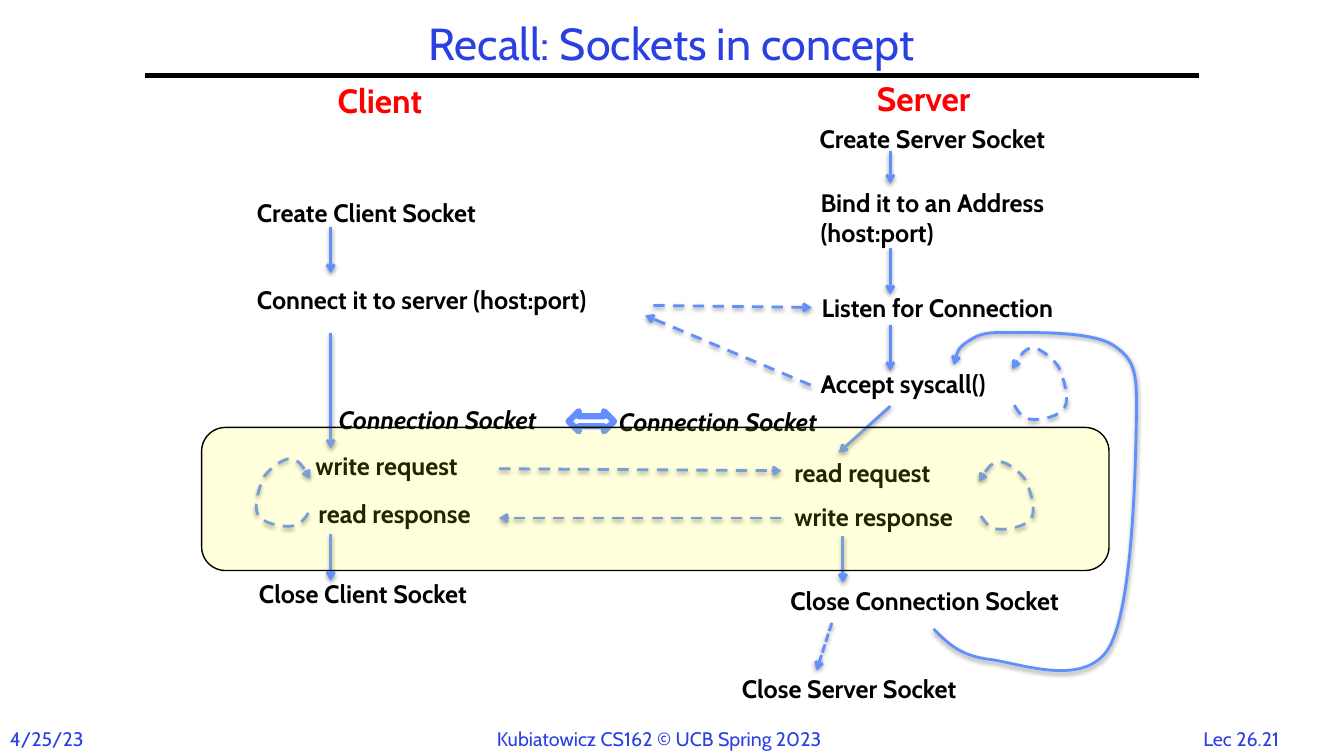
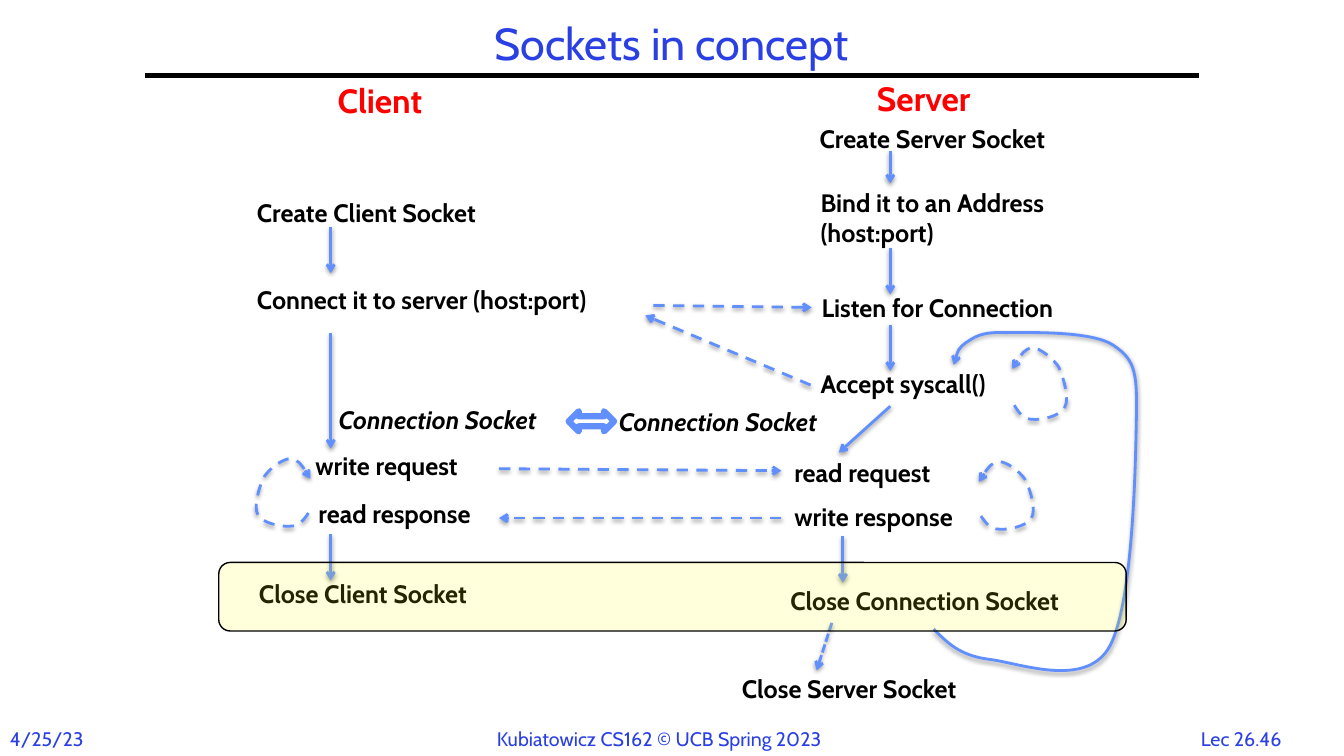
from dataclasses import dataclass

from pptx import Presentation
from pptx.dml.color import RGBColor
from pptx.enum.dml import MSO_LINE as Dash
from pptx.enum.shapes import MSO_CONNECTOR as Link, MSO_SHAPE as Kind
from pptx.enum.text import MSO_ANCHOR as Anchor, MSO_AUTO_SIZE as Fit, PP_ALIGN as Align
from pptx.oxml import parse_xml
from pptx.oxml.ns import nsdecls, qn
from pptx.util import Pt

PX = 9144  # 100 px to the inch
FONT = "Cabin"
BLUE, SKY, RED = "2A40E2", "618FFD", "FF0000"
BLACK, WHITE, YELLOW = "000000", "FFFFFF", "FFFF00"


@dataclass(frozen=True)
class Label:
    text: str
    x: int
    y: int
    w: int
    h: int = 40
    size: int = 18
    color: str = BLACK
    italic: bool = False


@dataclass(frozen=True)
class Arrow:
    x1: int
    y1: int
    x2: int
    y2: int
    dash: Dash | None = None


@dataclass(frozen=True)
class Loop:
    x: int
    y: int
    h: int = 67
    side: int = 1


@dataclass(frozen=True)
class Page:
    title: str
    number: str
    band: tuple[int, int, int, int]


LABELS = (
    Label("Client", 325, 74, 114, 50, 24, RED),
    Label("Server", 860, 72, 130, 50, 24, RED),
    Label("Create Client Socket", 245, 191, 266),
    Label("Connect it to server (host:port)", 245, 277, 392),
    Label("write request", 303, 442, 177),
    Label("read response", 306, 489, 191),
    Label("Close Client Socket", 247, 569, 257),
    Label("Create Server Socket", 803, 117, 274),
    Label("Bind it to an Address\n(host:port)", 804, 181, 280, 71),
    Label("Listen for Connection", 805, 285, 280),
    Label("Accept syscall()", 804, 361, 213),
    Label("read request", 778, 449, 177),
    Label("write response", 778, 492, 199),
    Label("Close Connection Socket", 774, 576, 325),
    Label("Close Server Socket", 726, 663, 270),
    Label("Connection Socket", 326, 396, 249, italic=True),
    Label("Connection Socket", 604, 398, 249, italic=True),
)
ARROWS = (
    Arrow(328, 225, 328, 271),
    Arrow(328, 330, 328, 445),
    Arrow(328, 530, 328, 576),
    Arrow(883, 150, 883, 182),
    Arrow(883, 246, 883, 292),
    Arrow(883, 322, 883, 368),
    Arrow(883, 403, 832, 449),
    Arrow(836, 532, 836, 578),
    Arrow(825, 618, 810, 665, Dash.SQUARE_DOT),
    Arrow(648, 303, 805, 305, Dash.DASH),
    Arrow(804, 382, 640, 313, Dash.DASH),
    Arrow(495, 465, 775, 467, Dash.DASH),
    Arrow(775, 514, 495, 514, Dash.DASH),
)
LOOPS = (Loop(1004, 345, 71), Loop(971, 458), Loop(308, 455, side=-1))
# Start point, then three Bezier points for each curve
BEND = (
    (2, 54), (7, 61), (11, 67), (20, 67), (28, 68), (48, 64), (52, 56), (57, 48),
    (51, 28), (46, 18), (40, 9), (27, 0), (20, 0), (12, 1), (6, 10), (0, 20),
)
RETURN = (
    (926, 624), (939, 637), (951, 650), (980, 654), (1009, 657), (1074, 683),
    (1099, 644), (1123, 606), (1126, 471), (1127, 421), (1128, 371), (1127, 358),
    (1105, 343), (1084, 328), (1021, 330), (997, 330), (972, 329), (966, 335),
    (958, 340), (950, 346), (948, 354), (946, 362),
)
PAGES = (
    Page("Recall: Sockets in concept", "Lec 26.21", (200, 424, 900, 142)),
    Page("Sockets in concept", "Lec 26.46", (217, 558, 900, 68)),
)


def rgb(code: str) -> RGBColor:
    return RGBColor.from_string(code)


def px(*sizes: int) -> list[int]:
    return [size * PX for size in sizes]


def style(para, *, size: int, color: str, bold=False, italic=False, align=Align.LEFT) -> None:
    para.alignment = align
    font = para.font
    font.name, font.size, font.bold, font.italic = FONT, Pt(size), bold, italic
    font.color.rgb = rgb(color)


def write(slide, text: str, x: int, y: int, w: int, h: int, *, wrap=False, **form) -> None:
    frame = slide.shapes.add_textbox(*px(x, y, w, h)).text_frame
    frame.word_wrap = wrap
    frame.auto_size = Fit.NONE if wrap else Fit.SHAPE_TO_FIT_TEXT
    frame.text = text
    for para in frame.paragraphs:
        style(para, **form)


def stroke(shape, color: str, width: float, dash: Dash | None = None) -> None:
    shape.line.color.rgb = rgb(color)
    shape.line.width = Pt(width)
    if dash is not None:
        shape.line.dash_style = dash


def point(shape, dash: Dash | None) -> None:
    """Give a line its blue stroke, arrowhead and soft shadow."""
    stroke(shape, SKY, 2, dash)
    shape.get_or_add_ln().append(parse_xml(f'<a:tailEnd {nsdecls("a")} type="arrow"/>'))
    shape.element.spPr.append(parse_xml(
        f'<a:effectLst {nsdecls("a")}><a:outerShdw blurRad="40000" dist="20000" '
        f'dir="5400000" rotWithShape="0"><a:srgbClr val="{BLACK}">'
        '<a:alpha val="38000"/></a:srgbClr></a:outerShdw></a:effectLst>'))


def join(slide, x1: int, y1: int, x2: int, y2: int):
    return slide.shapes.add_connector(Link.STRAIGHT, *px(x1, y1, x2, y2))


def curve(slide, points, dash: Dash | None = None) -> None:
    """Draw Bezier curves, turning each three line points into one curve."""
    pen = slide.shapes.build_freeform(*points[0], scale=PX)
    pen.add_line_segments(points[1:], close=False)
    shape = pen.convert_to_shape()
    lines = list(shape.element.iter(qn("a:lnTo")))
    for i in range(0, len(lines), 3):
        bend = parse_xml(f'<a:cubicBezTo {nsdecls("a")}/>')
        lines[i].addprevious(bend)
        for line in lines[i:i + 3]:
            bend.append(line[0])
            line.getparent().remove(line)
    shape.fill.background()
    point(shape, dash)


def draw_loop(slide, loop: Loop) -> None:
    points = [(loop.x + loop.side * x, loop.y + round(y * loop.h / 67)) for x, y in BEND]
    curve(slide, points, Dash.DASH)


def block(slide, kind: Kind, area, fill: str, line: str, width: float):
    shape = slide.shapes.add_shape(kind, *px(*area))
    shape.shadow.inherit = False
    shape.fill.solid()
    shape.fill.fore_color.rgb = rgb(fill)
    stroke(shape, line, width)
    return shape


def frame_page(slide, page: Page) -> None:
    """Set the title, the rule below it and the footers."""
    title = slide.shapes.title
    title.left, title.top, title.width, title.height = px(144, 17, 1044, 58)
    frame = title.text_frame
    frame.text = page.title
    frame.vertical_anchor = Anchor.MIDDLE
    frame.auto_size = Fit.NONE
    para = frame.paragraphs[0]
    para.line_spacing = 0.9
    style(para, size=32, color=BLUE, align=Align.CENTER)
    rule = join(slide, 144, 75, 1189, 75)
    stroke(rule, BLACK, 3)
    rule.element.spPr.append(parse_xml(f'<a:effectLst {nsdecls("a")}/>'))
    foot = {"size": 14, "color": BLUE}
    write(slide, "4/25/23", 0, 716, 120, 34, wrap=True, **foot)
    write(slide, "Kubiatowicz CS162 © UCB Spring 2023", 483, 716, 368, 34, **foot)
    write(slide, page.number, 1177, 716, 108, 34, align=Align.CENTER, **foot)


def draw_flow(slide) -> None:
    for item in LABELS:
        write(slide, item.text, item.x, item.y, item.w, item.h, size=item.size,
              color=item.color, bold=True, italic=item.italic)
    for arrow in ARROWS:
        point(join(slide, arrow.x1, arrow.y1, arrow.x2, arrow.y2), arrow.dash)
    for loop in LOOPS:
        draw_loop(slide, loop)
    curve(slide, RETURN)
    block(slide, Kind.LEFT_RIGHT_ARROW, (564, 408, 45, 20), WHITE, SKY, 4.5)


def draw_band(slide, area) -> None:
    band = block(slide, Kind.ROUNDED_RECTANGLE, area, YELLOW, BLACK, 1)
    tint = band.element.spPr.find(qn("a:solidFill"))[0]
    tint.append(parse_xml(f'<a:alpha {nsdecls("a")} val="14000"/>'))


def main() -> None:
    deck = Presentation()
    deck.slide_width, deck.slide_height = px(1333, 750)
    for page in PAGES:
        slide = deck.slides.add_slide(deck.slide_layouts[5])
        frame_page(slide, page)
        draw_flow(slide)
        draw_band(slide, page.band)
    deck.save("out.pptx")


if __name__ == "__main__":
    main()
